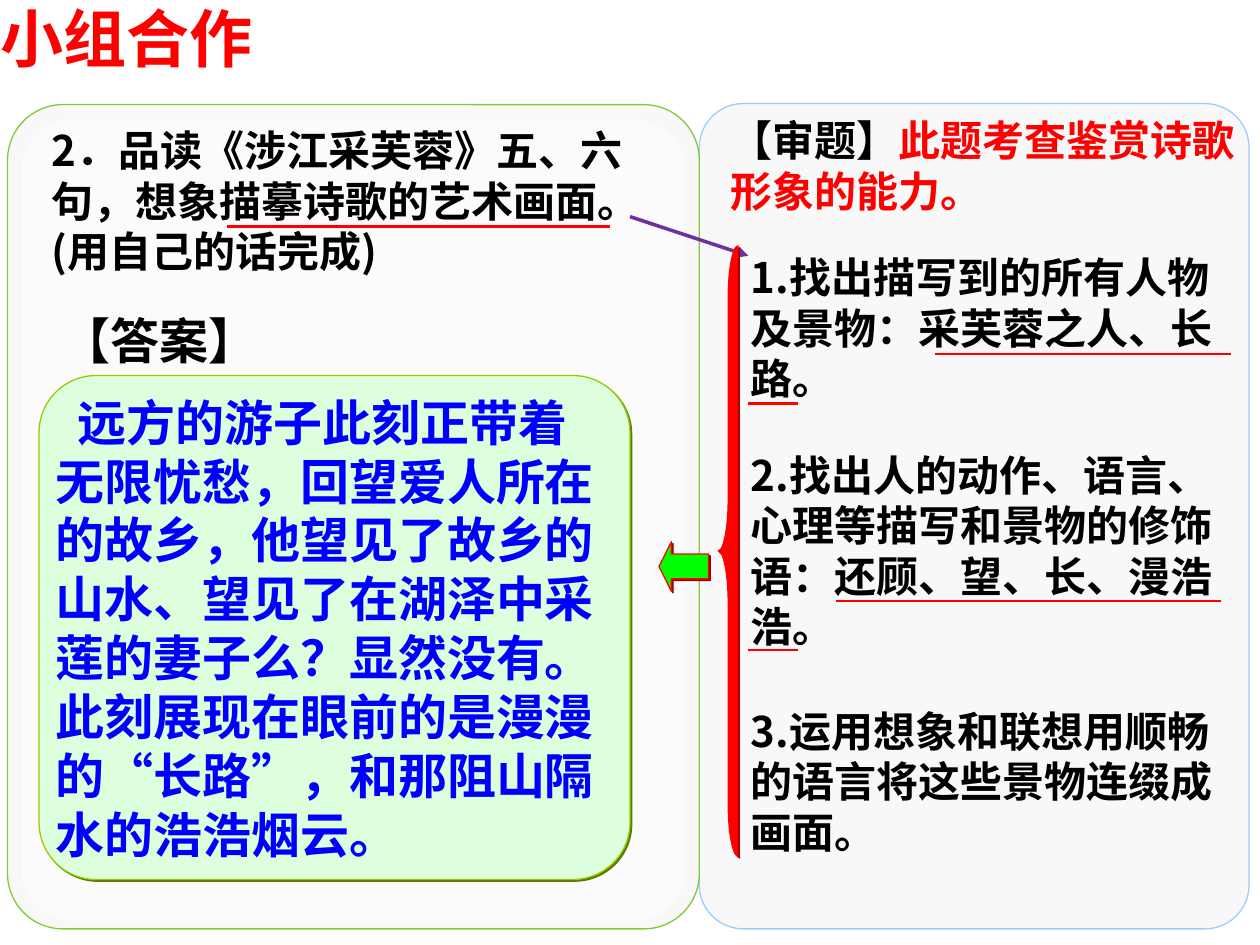
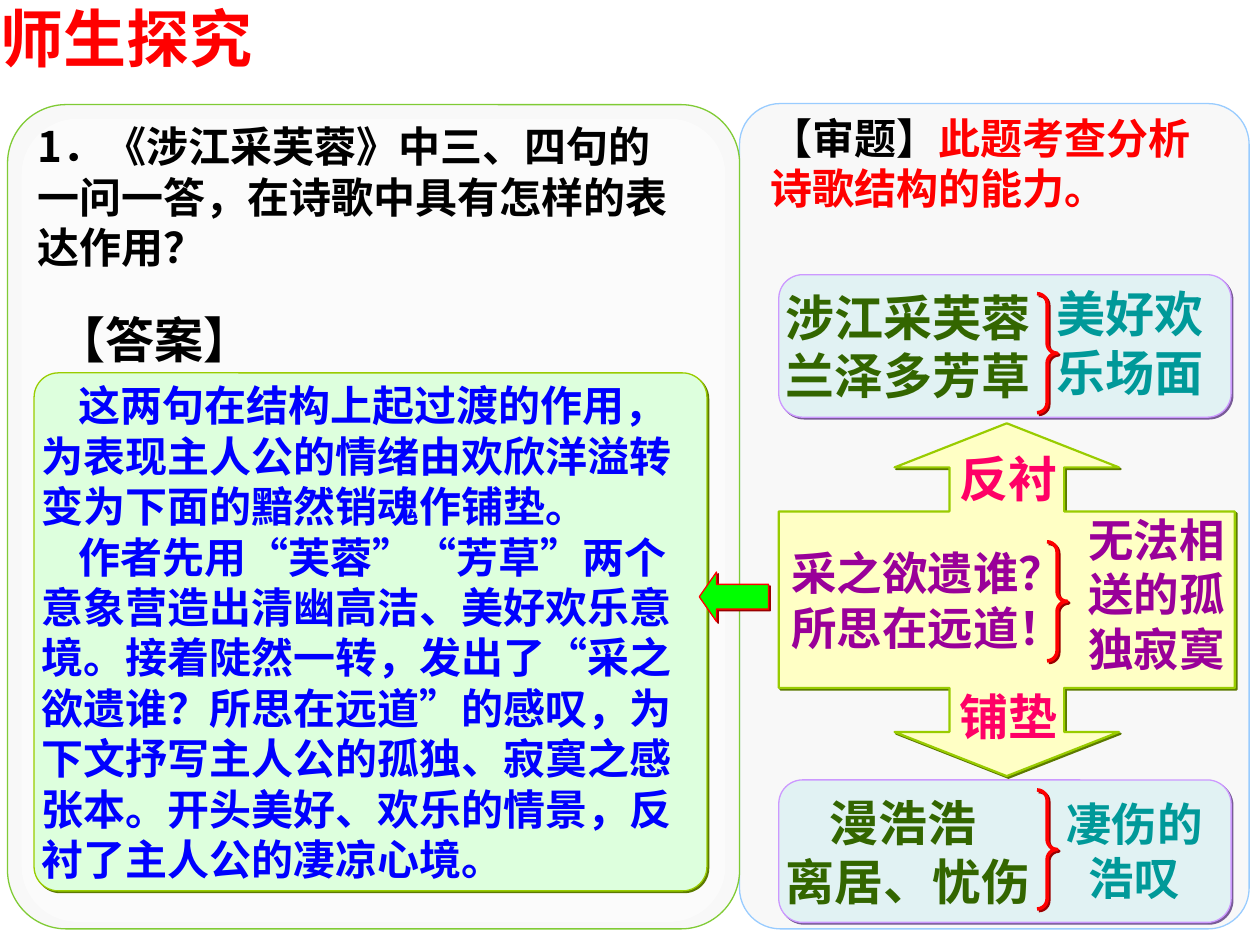
from dataclasses import dataclass

from lxml.etree import SubElement
from pptx import Presentation
from pptx.dml.color import RGBColor
from pptx.enum.shapes import MSO_CONNECTOR, MSO_SHAPE
from pptx.enum.text import MSO_ANCHOR, PP_ALIGN
from pptx.oxml.ns import qn
from pptx.util import Pt


@dataclass(frozen=True)
class Theme:
    # Fonts and type sizes
    latin: str = "Arial"
    cjk: str = "Noto Sans CJK SC"
    title: int = 36
    large: int = 28
    medium: int = 26
    body: int = 24
    # Colours
    red: str = "FF0000"
    black: str = "000000"
    blue: str = "0000FF"
    purple: str = "990099"
    green: str = "336600"
    teal: str = "009999"
    pink: str = "FF0066"
    white: str = "FFFFFF"
    panel: str = "F8F8F8"
    panel_left_line: str = "80CB35"
    panel_right_line: str = "99CCFF"
    answer: str = "DDFFDD"
    answer_line: str = "99CC00"
    answer_shadow: str = "5C7A00"
    verse: str = "E1F2F3"
    verse_line: str = "CC99FF"
    verse_shadow: str = "795B98"
    callout: str = "FFFFC5"
    arrow: str = "00FF00"
    red_shadow: str = "990000"
    text_shadow: str = "808080"
    pointer: str = "7030A0"


T = Theme()
LABEL_INSET = (7.2, 3.6)
NO_INSET = (0, 0)


def rgb(value):
    return RGBColor.from_string(value)


def add_shadow(properties, color):
    effects = SubElement(properties, qn("a:effectLst"))
    shadow = SubElement(effects, qn("a:outerShdw"), dist="17780", dir="2700000",
                        algn="ctr", rotWithShape="0")
    SubElement(shadow, qn("a:srgbClr"), val=color)


class Deck:
    def __init__(self):
        self.prs = Presentation()
        self.prs.slide_width, self.prs.slide_height = Pt(720), Pt(540)
        self.slide = None

    def new_slide(self, title, split):
        """Start a slide with a title and two panels that meet at split."""
        self.slide = self.prs.slides.add_slide(self.prs.slide_layouts[6])
        self.shape(MSO_SHAPE.ROUNDED_RECTANGLE, split, 59.2, 713.8 - split, 471.6,
                   T.panel, T.panel_right_line, adj=[0.08])
        left, top, width, height, gap = 4.3, 59.8, split - 4.3, 471, 8
        self.shape(MSO_SHAPE.ROUNDED_RECTANGLE, left, top, width, height,
                   T.panel, T.panel_left_line, adj=[0.08])
        sp = self.shape(MSO_SHAPE.ROUNDED_RECTANGLE, left + gap, top + gap,
                        width - 2 * gap, height - 1.5 * gap, T.white, adj=[0.08])
        color = sp._element.spPr.find(qn("a:solidFill"))[0]
        SubElement(color, qn("a:alpha"), val="50000")
        self.text(0, 0, 240, 43.2, [title], T.title, T.red, inset=NO_INSET, shadow=True)

    def shape(self, kind, x, y, w, h, fill=None, line=None, weight=0.75, adj=(), shadow=None):
        sp = self.slide.shapes.add_shape(kind, Pt(x), Pt(y), Pt(w), Pt(h))
        for i, value in enumerate(adj):
            sp.adjustments[i] = value
        if fill:
            sp.fill.solid()
            sp.fill.fore_color.rgb = rgb(fill)
        else:
            sp.fill.background()
        if line:
            sp.line.color.rgb = rgb(line)
            sp.line.width = Pt(weight)
        else:
            sp.line.fill.background()
        if shadow:
            add_shadow(sp._element.spPr, shadow)
        else:
            sp.shadow.inherit = False
        return sp

    def set_text(self, sp, paragraphs, size, color, font=T.latin, inset=NO_INSET,
                 anchor=MSO_ANCHOR.TOP, align=PP_ALIGN.LEFT, shadow=False, indents=()):
        """Each paragraph is a string, or a list of (text, colour) runs."""
        tf = sp.text_frame
        tf.word_wrap = True
        tf.vertical_anchor = anchor
        tf.margin_left = tf.margin_right = Pt(inset[0])
        tf.margin_top = tf.margin_bottom = Pt(inset[1])
        for i, content in enumerate(paragraphs):
            p = tf.add_paragraph() if i else tf.paragraphs[0]
            p.alignment = align
            if i < len(indents):
                p._p.get_or_add_pPr().set("indent", str(Pt(indents[i])))
            p.font.size, p.font.bold, p.font.name = Pt(size), True, font
            runs = [(content, None)] if isinstance(content, str) else content
            if isinstance(content, str):
                p.font.color.rgb = rgb(color)
            for text, run_color in runs:
                r = p.add_run()
                r.text = text
                if run_color:
                    r.font.color.rgb = rgb(run_color)
                if shadow:
                    add_shadow(r._r.get_or_add_rPr(), T.text_shadow)
            for latin in list(p._p.iter(qn("a:latin"))):
                ea = SubElement(latin.getparent(), qn("a:ea"), typeface=T.cjk)
                latin.addnext(ea)

    def text(self, x, y, w, h, paragraphs, size=T.body, color=T.black,
             inset=LABEL_INSET, **style):
        sp = self.slide.shapes.add_textbox(Pt(x), Pt(y), Pt(w), Pt(h))
        self.set_text(sp, paragraphs, size, color, inset=inset, **style)

    def topic(self, x, y, w, text):
        self.text(x, y, w, 64.8, [[("【审题】", T.black), (text, T.red)]], shadow=True)

    def answer(self, x, y, w, h, radius, paragraphs, size, indent, font):
        sp = self.shape(MSO_SHAPE.ROUNDED_RECTANGLE, x, y, w, h, T.answer,
                        T.answer_line, adj=[radius], shadow=T.answer_shadow)
        self.set_text(sp, paragraphs, size, T.blue, font, anchor=MSO_ANCHOR.MIDDLE,
                      indents=[indent] * len(paragraphs))

    def answer_label(self, x, y):
        self.text(x, y, 139, 41, ["【答案】"], T.large, font=T.cjk)

    def verse(self, y, lines, indents=()):
        sp = self.shape(MSO_SHAPE.ROUNDED_RECTANGLE, 445, y, 258.5, 81.4, T.verse,
                        T.verse_line, adj=[0.167], shadow=T.verse_shadow)
        self.set_text(sp, lines, T.large, T.green, anchor=MSO_ANCHOR.MIDDLE, indents=indents)

    def right_brace(self, x, y):
        self.shape(MSO_SHAPE.RIGHT_BRACE, x, y, 11.5, 68, line=T.red, weight=2,
                   adj=[0.5, 0.5], shadow=T.red_shadow)

    def left_arrow(self, x, y, w, head):
        self.shape(MSO_SHAPE.LEFT_ARROW, x, y, w, 28.3, T.arrow, T.red,
                   adj=[0.5, head], shadow=T.red_shadow)

    def line(self, x1, y1, x2, y2, color=T.red, weight=1.5, arrow=False):
        c = self.slide.shapes.add_connector(MSO_CONNECTOR.STRAIGHT,
                                            Pt(x1), Pt(y1), Pt(x2), Pt(y2))
        c.line.color.rgb = rgb(color)
        c.line.width = Pt(weight)
        if arrow:
            SubElement(c._element.spPr.find(qn("a:ln")), qn("a:tailEnd"), type="triangle")
        SubElement(c._element.spPr, qn("a:effectLst"))


def group_work(s):
    s.new_slide("小组合作", 399.6)

    # Question and answer
    s.text(22.3, 67.7, 360, 93.6,
           ["2．品读《涉江采芙蓉》五、六句，想象描摹诗歌的艺术画面。(用自己的话完成)"], font=T.cjk)
    s.answer_label(28, 174.2)
    s.answer(22.3, 214.6, 337.7, 288, 0.113,
             ["远方的游子此刻正带着无限忧愁，回望爱人所在的故乡，他望见了故乡的山水、"
              "望见了在湖泽中采莲的妻子么？显然没有。此刻展现在眼前的是漫漫的“长路”，"
              "和那阻山隔水的浩浩烟云。"], T.large, 12.6, T.cjk)

    # Analysis steps
    s.topic(410.4, 62, 309.6, "此题考查鉴赏诗歌形象的能力。")
    steps = [(140.4, "1.找出描写到的所有人物及景物：采芙蓉之人、长路。"),
             (253.4, "2.找出人的动作、语言、心理等描写和景物的修饰语：还顾、望、长、漫浩浩。"),
             (399.6, "3.运用想象和联想用顺畅的语言将这些景物连缀成画面。")]
    for y, step in steps:
        s.text(422, y, 286.6, 93.6, [step], font=T.cjk)

    # Underlined key words
    for x1, x2, y in [(129.6, 348.5, 129.6), (534.2, 703.4, 202.3), (427.7, 455.8, 230.4),
                      (478, 697.7, 343.4), (427.7, 455.8, 371.5)]:
        s.line(x1, y, x2, y)

    # Links from question to steps and from steps to answer
    s.line(360, 123.8, 427.7, 146.2, T.pointer, 2, arrow=True)
    s.shape(MSO_SHAPE.LEFT_BRACE, 410.4, 140.4, 11.5, 349, T.red, T.red,
            adj=[2.62, 0.5], shadow=T.red_shadow)
    s.left_arrow(376.6, 309.6, 28.3, 0.25)


def class_inquiry(s):
    s.new_slide("师生探究", 422.6)

    # Question and answer
    s.text(14.4, 65.5, 380.2, 93.6,
           ["1．《涉江采芙蓉》中三、四句的一问一答，在诗歌中具有怎样的表达作用？"],
           font=T.cjk, anchor=MSO_ANCHOR.MIDDLE, shadow=True)
    s.answer_label(25.2, 173.5)
    s.answer(19.5, 213.1, 384.5, 296, 0.047,
             ["这两句在结构上起过渡的作用，为表现主人公的情绪由欢欣洋溢转变为下面的黯然销魂作铺垫。",
              "作者先用“芙蓉”“芳草”两个意象营造出清幽高洁、美好欢乐意境。接着陡然一转，"
              "发出了“采之欲遗谁？所思在远道”的感叹，为下文抒写主人公的孤独、寂寞之感张本。"
              "开头美好、欢乐的情景，反衬了主人公的凄凉心境。"], T.body, 21.5, T.latin)
    s.topic(433.4, 60.5, 278, "此题考查分析诗歌结构的能力。")

    # Central verse with arrows to both scenes
    sp = s.shape(MSO_SHAPE.UP_DOWN_ARROW_CALLOUT, 445, 241.9, 260.6, 201.6, T.callout,
                 T.answer_line, 1.25, [0.325, 0.318, 0.125, 0.5], T.answer_shadow)
    s.set_text(sp, ["采之欲遗谁？", "所思在远道！"], T.medium, T.purple,
               inset=LABEL_INSET, anchor=MSO_ANCHOR.MIDDLE)
    s.right_brace(598.3, 309.6)
    centred = dict(inset=NO_INSET, anchor=MSO_ANCHOR.MIDDLE, align=PP_ALIGN.CENTER, shadow=True)
    s.text(615.6, 288, 90.7, 102.2, ["无法相送的孤独寂寞"], T.medium, T.purple, **centred)
    for y, relation in [(252.7, "反衬"), (388.8, "铺垫")]:
        s.text(541.4, y, 79.2, 41, [relation], T.large, T.pink, shadow=True)

    # Joyful scene above, sorrowful scene below
    s.verse(157, ["涉江采芙蓉", "兰泽多芳草"])
    s.text(604, 162, 93.6, 67, ["美好欢乐场面"], T.large, T.teal, inset=NO_INSET, shadow=True)
    s.verse(445.7, ["漫浩浩", "离居、忧伤"], indents=[25])
    s.text(604, 451.4, 88.6, 69.1, ["凄伤的浩叹"], T.medium, T.teal, **centred)
    for y in (167.8, 451.4):
        s.right_brace(592.6, y)

    s.left_arrow(399.6, 326.9, 39.6, 0.348)


def main():
    deck = Deck()
    group_work(deck)
    class_inquiry(deck)
    deck.prs.save("out.pptx")


if __name__ == "__main__":
    main()
